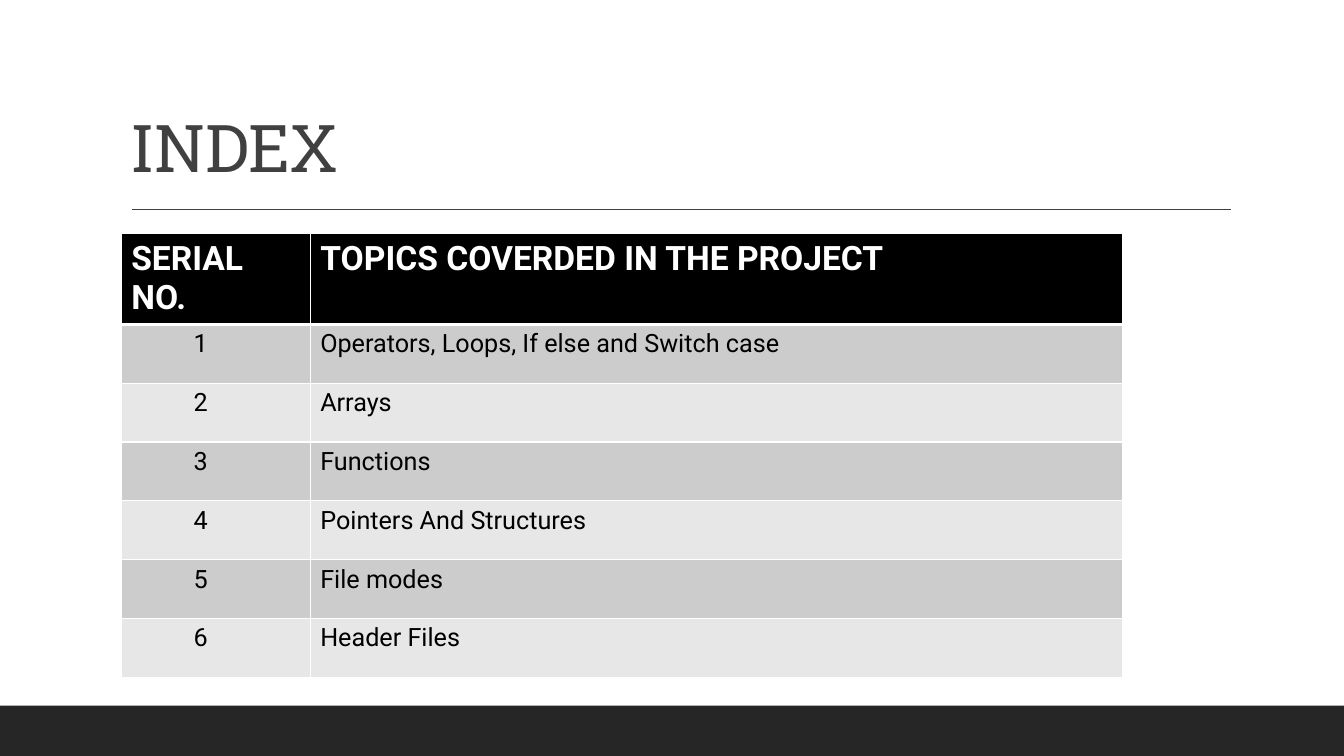
from lxml import etree
from pptx import Presentation
from pptx.dml.color import RGBColor
from pptx.enum.shapes import MSO_CONNECTOR, MSO_SHAPE
from pptx.enum.text import MSO_ANCHOR
from pptx.oxml.ns import qn
from pptx.util import Pt

STRAIGHT = MSO_CONNECTOR.STRAIGHT
RECTANGLE = MSO_SHAPE.RECTANGLE
BOTTOM = MSO_ANCHOR.BOTTOM

COLORS = {
    "footer": "262626",
    "title": "404040",
    "header": "000000",
    "odd": "CCCCCC",
    "even": "E7E7E7",
    "white": "FFFFFF",
    "black": "000000",
}
TOPICS = [
    "Operators, Loops, If else and Switch case",
    "Arrays",
    "Functions",
    "Pointers And Structures",
    "File modes",
    "Header Files",
]


def add_run(paragraph, text, font, size, color, bold=False):
    run = paragraph.add_run()
    run.text = text
    run.font.name = font
    run.font.size = Pt(size)
    run.font.bold = bold
    run.font.color.rgb = RGBColor.from_string(COLORS[color])
    return run


def add_borders(cell, bottom_width):
    properties = cell._tc.get_or_add_tcPr()
    widths = {"a:lnL": 1, "a:lnR": 1, "a:lnT": 1, "a:lnB": bottom_width}
    for position, (side, width) in enumerate(widths.items()):
        border = etree.Element(qn(side), w=str(Pt(width)))
        fill = etree.SubElement(border, qn("a:solidFill"))
        etree.SubElement(fill, qn("a:srgbClr"), val=COLORS["white"])
        properties.insert(position, border)


prs = Presentation()
prs.slide_width = Pt(960)
prs.slide_height = Pt(540)
slide = prs.slides.add_slide(prs.slide_layouts[6])

footer = slide.shapes.add_shape(RECTANGLE, 0, Pt(504), Pt(960), Pt(36))
footer.shadow.inherit = False
footer.fill.solid()
footer.fill.fore_color.rgb = RGBColor.from_string(COLORS["footer"])
footer.line.fill.background()

title_rule = slide.shapes.add_connector(STRAIGHT, Pt(94.3), Pt(149.5), Pt(879), Pt(149.5))
title_rule.line.color.rgb = RGBColor.from_string(COLORS["title"])
title_rule.line.width = Pt(1)
etree.SubElement(title_rule._element.spPr, qn("a:effectLst"))

title = slide.shapes.add_textbox(Pt(86.4), Pt(22.3), Pt(792), Pt(114.5)).text_frame
title.word_wrap = True
title.vertical_anchor = BOTTOM
title.paragraphs[0].line_spacing = 0.9
title_run = add_run(title.paragraphs[0], "INDEX", "Roboto Slab", 47, "title")
title_run.font._element.set("spc", "-50")

index = slide.shapes.add_table(
    len(TOPICS) + 1, 2, Pt(86.6), Pt(167), Pt(715), Pt(294)
).table
index.columns[0].width = Pt(135)
index.columns[1].width = Pt(580)

entries = [("SERIAL NO.", "TOPICS COVERDED IN THE PROJECT")]
entries += [(str(number), topic) for number, topic in enumerate(TOPICS, 1)]
for row, entry in enumerate(entries):
    is_header = row == 0
    band = "header" if is_header else "odd" if row % 2 else "even"
    index.rows[row].height = Pt(42)
    for column, text in enumerate(entry):
        cell = index.cell(row, column)
        cell.fill.solid()
        cell.fill.fore_color.rgb = RGBColor.from_string(COLORS[band])
        add_borders(cell, 3 if is_header else 1)
        if column == 0 and not is_header:
            cell.margin_left = Pt(51.8)
        add_run(
            cell.text_frame.paragraphs[0],
            text,
            "Roboto",
            24 if is_header else 18,
            "white" if is_header else "black",
            is_header,
        )

prs.save("out.pptx")
